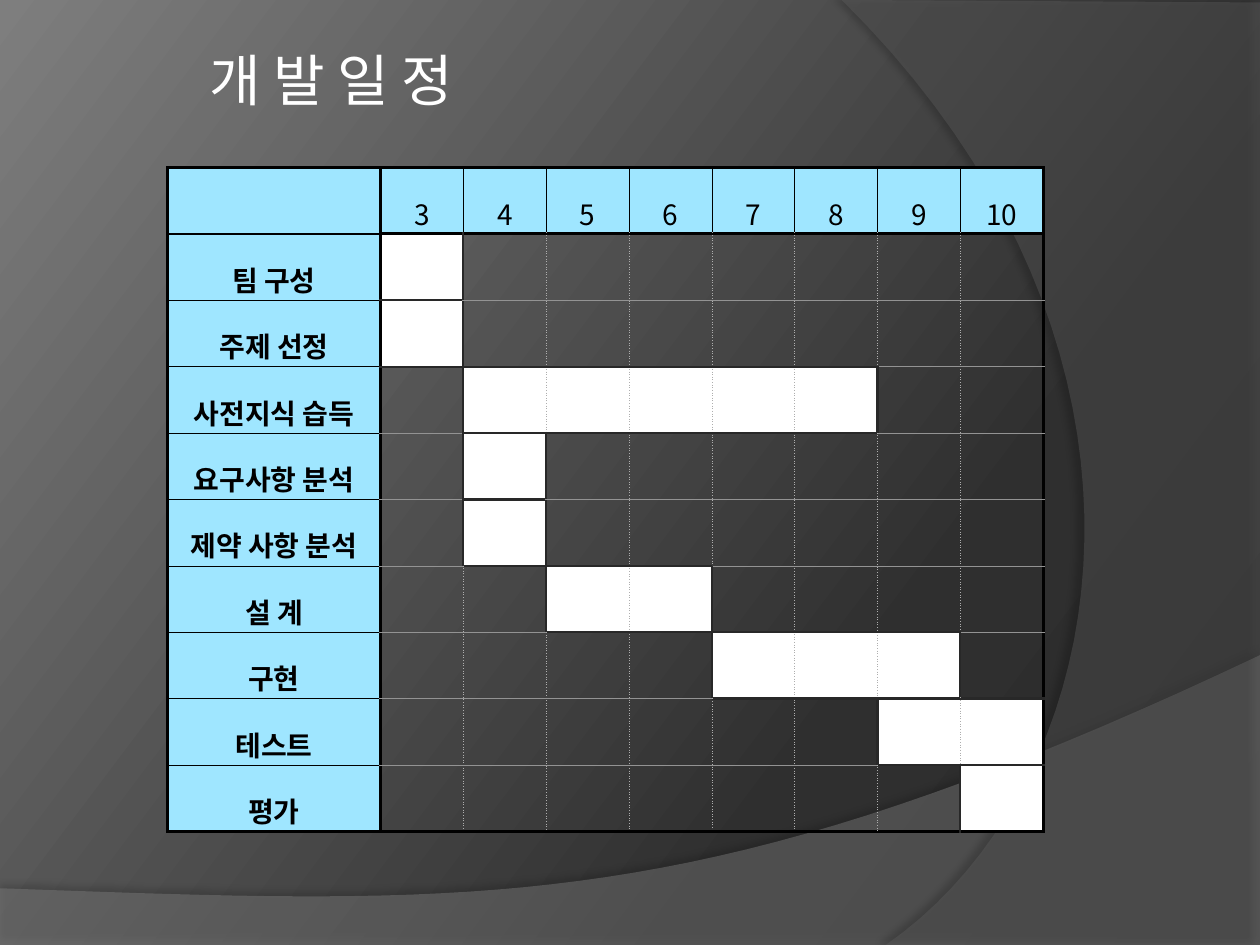
"""Build a development schedule slide with a month-by-month bar table."""
from dataclasses import dataclass

from lxml.etree import SubElement
from pptx import Presentation
from pptx.dml.color import RGBColor
from pptx.enum.text import MSO_ANCHOR, MSO_AUTO_SIZE, PP_ALIGN
from pptx.oxml.ns import qn
from pptx.util import Inches, Pt

TITLE = "개 발 일 정"
MONTHS = [3, 4, 5, 6, 7, 8, 9, 10]
TASKS = [
    ("팀 구성", 3, 3),
    ("주제 선정", 3, 3),
    ("사전지식 습득", 4, 8),
    ("요구사항 분석", 4, 4),
    ("제약 사항 분석", 4, 4),
    ("설 계", 5, 6),
    ("구현", 7, 9),
    ("테스트", 9, 10),
    ("평가", 10, 10),
]
TABLE_BOX = (1.33, 1.33, 6.95, 5.27)
LABEL_WIDTH = 1.69
SWOOSHES = [
    dict(corners=[(0, 7.05), (0, 7.5), (10, 7.5), (10, 5.2)],
         controls=[(5.59, 7.29), (3.91, 7.19)], end=(0, 7.05),
         color="7F7F7F", opacity=45, shadow=(35, 4, 3.5, 270)),
    dict(corners=[(10, 0.02), (10, 7.5), (7.03, 7.5)],
         controls=[(8.91, 6.19), (9.47, 2.75)], end=(6.68, 0),
         color="5E5E5E", opacity=40, shadow=(45, 4, 4, 180)),
]


@dataclass(frozen=True)
class Theme:
    backdrop: tuple = ((0, "282828"), (30, "2F2F2F"), (100, "7E7E7E"))
    backdrop_angle: int = 143
    title_font: str = "Arial"
    table_font: str = "Noto Sans CJK KR"
    title_size: int = 32
    table_size: int = 16
    white: str = "FFFFFF"
    black: str = "000000"
    heading: str = "9FE6FF"
    frame: tuple = ("000000", 1.98, "solid")
    header_edge: tuple = ("000000", 1.7, "solid")
    hairline: tuple = ("000000", 0.28, "solid")
    bar_edge: tuple = ("282828", 1.41, "solid")
    row_line: tuple = ("939393", 0.28, "solid")
    month_line: tuple = ("AEAEAE", 0.28, "sysDot")


THEME = Theme()


def rgb(value):
    return RGBColor.from_string(value)


def style_font(font, name, size, color, bold=False):
    font.name, font.size, font.bold = name, Pt(size), bold
    font.color.rgb = rgb(color)


def add_color(parent, value, opacity=100):
    color = SubElement(parent, qn("a:srgbClr"), val=value)
    if opacity < 100:
        SubElement(color, qn("a:alpha"), val=str(opacity * 1000))


def paint_background(page):
    fill = page.background.fill
    fill.gradient()
    fill.gradient_angle = THEME.backdrop_angle
    stops = page._element.find(".//" + qn("a:gsLst"))
    for stop in list(stops):
        stops.remove(stop)
    for position, color in THEME.backdrop:
        add_color(SubElement(stops, qn("a:gs"), pos=str(position * 1000)), color)


def curve_points(start, controls, end, steps=40):
    anchors = [start, *controls, end]
    points = []
    for step in range(1, steps + 1):
        t = step / steps
        weights = ((1 - t) ** 3, 3 * t * (1 - t) ** 2, 3 * t * t * (1 - t), t ** 3)
        points.append(tuple(sum(w * a[axis] for w, a in zip(weights, anchors))
                            for axis in (0, 1)))
    return points


def add_swoosh(page, corners, controls, end, color, opacity, shadow):
    outline = corners + curve_points(corners[-1], controls, end)
    points = [(Inches(x), Inches(y)) for x, y in outline]
    builder = page.shapes.build_freeform(*points[0])
    builder.add_line_segments(points[1:], close=True)
    shape = builder.convert_to_shape()
    shape.line.fill.background()
    shape.fill.solid()
    shape.fill.fore_color.rgb = rgb(color)
    shape.shadow.inherit = False
    properties = shape._element.spPr
    SubElement(properties.find(".//" + qn("a:srgbClr")), qn("a:alpha"),
               val=str(opacity * 1000))
    strength, blur, distance, angle = shadow
    effect = SubElement(properties.find(qn("a:effectLst")), qn("a:outerShdw"),
                        blurRad=str(Pt(blur)), dist=str(Pt(distance)),
                        dir=str(angle * 60000), algn="ctr", rotWithShape="0")
    add_color(effect, THEME.black, strength)


def format_title(title):
    title.left, title.top = Inches(1.56), Inches(0.31)
    title.width, title.height = Inches(2.47), Inches(0.64)
    frame = title.text_frame
    frame.text = TITLE
    frame.word_wrap = False
    frame.auto_size = MSO_AUTO_SIZE.SHAPE_TO_FIT_TEXT
    frame.vertical_anchor = MSO_ANCHOR.TOP
    paragraph = frame.paragraphs[0]
    paragraph.alignment = PP_ALIGN.LEFT
    style_font(paragraph.font, THEME.title_font, THEME.title_size, THEME.white)


def is_active(row, column):
    if not (1 <= row <= len(TASKS) and 1 <= column <= len(MONTHS)):
        return False
    _, first, last = TASKS[row - 1]
    return first <= MONTHS[column - 1] <= last


def vertical_edge(row, column):
    if column in (0, len(MONTHS) + 1):
        return THEME.frame
    if column == 1:
        return THEME.frame if row else THEME.header_edge
    if row == 0:
        return THEME.hairline
    changes = is_active(row, column - 1) != is_active(row, column)
    return THEME.bar_edge if changes else THEME.month_line


def horizontal_edge(row, column):
    if row in (0, len(TASKS) + 1):
        return THEME.frame
    if row == 1:
        return THEME.frame if column else THEME.header_edge
    if column == 0:
        return THEME.hairline
    touches = is_active(row - 1, column) or is_active(row, column)
    return THEME.bar_edge if touches else THEME.row_line


def set_borders(cell, row, column):
    edges = {"L": vertical_edge(row, column), "R": vertical_edge(row, column + 1),
             "T": horizontal_edge(row, column), "B": horizontal_edge(row + 1, column)}
    properties = cell._tc.get_or_add_tcPr()
    for side, (color, width, dash) in edges.items():
        line = SubElement(properties, qn(f"a:ln{side}"), w=str(Pt(width)))
        add_color(SubElement(line, qn("a:solidFill")), color)
        SubElement(line, qn("a:prstDash"), val=dash)


def format_cell(cell, row, column, text):
    cell.margin_top = cell.margin_bottom = 0
    cell.vertical_anchor = MSO_ANCHOR.MIDDLE
    set_borders(cell, row, column)
    heading = row == 0 or column == 0
    if heading or is_active(row, column):
        cell.fill.solid()
        cell.fill.fore_color.rgb = rgb(THEME.heading if heading else THEME.white)
    else:
        cell.fill.background()
    if text:
        cell.text = text
        paragraph = cell.text_frame.paragraphs[0]
        paragraph.alignment, paragraph.line_spacing = PP_ALIGN.CENTER, 1.6
        style_font(paragraph.font, THEME.table_font, THEME.table_size,
                   THEME.black, bold=row > 0)
        SubElement(paragraph.font._element, qn("a:ea"), typeface=THEME.table_font)


def add_schedule(page):
    header = ["", *map(str, MONTHS)]
    rows = [header] + [[task[0]] + [""] * len(MONTHS) for task in TASKS]
    table = page.shapes.add_table(len(rows), len(header), *map(Inches, TABLE_BOX)).table
    table.first_row = table.horz_banding = False
    month_width = (TABLE_BOX[2] - LABEL_WIDTH) / len(MONTHS)
    for index, column in enumerate(table.columns):
        column.width = Inches(month_width if index else LABEL_WIDTH)
    for row, texts in enumerate(rows):
        for column, text in enumerate(texts):
            format_cell(table.cell(row, column), row, column, text)


def main():
    deck = Presentation()
    deck.slide_width, deck.slide_height = Inches(10), Inches(7.5)
    page = deck.slides.add_slide(deck.slide_layouts[5])
    paint_background(page)
    for swoosh in SWOOSHES:
        add_swoosh(page, **swoosh)
    format_title(page.shapes.title)
    add_schedule(page)
    deck.save("out.pptx")


if __name__ == "__main__":
    main()
